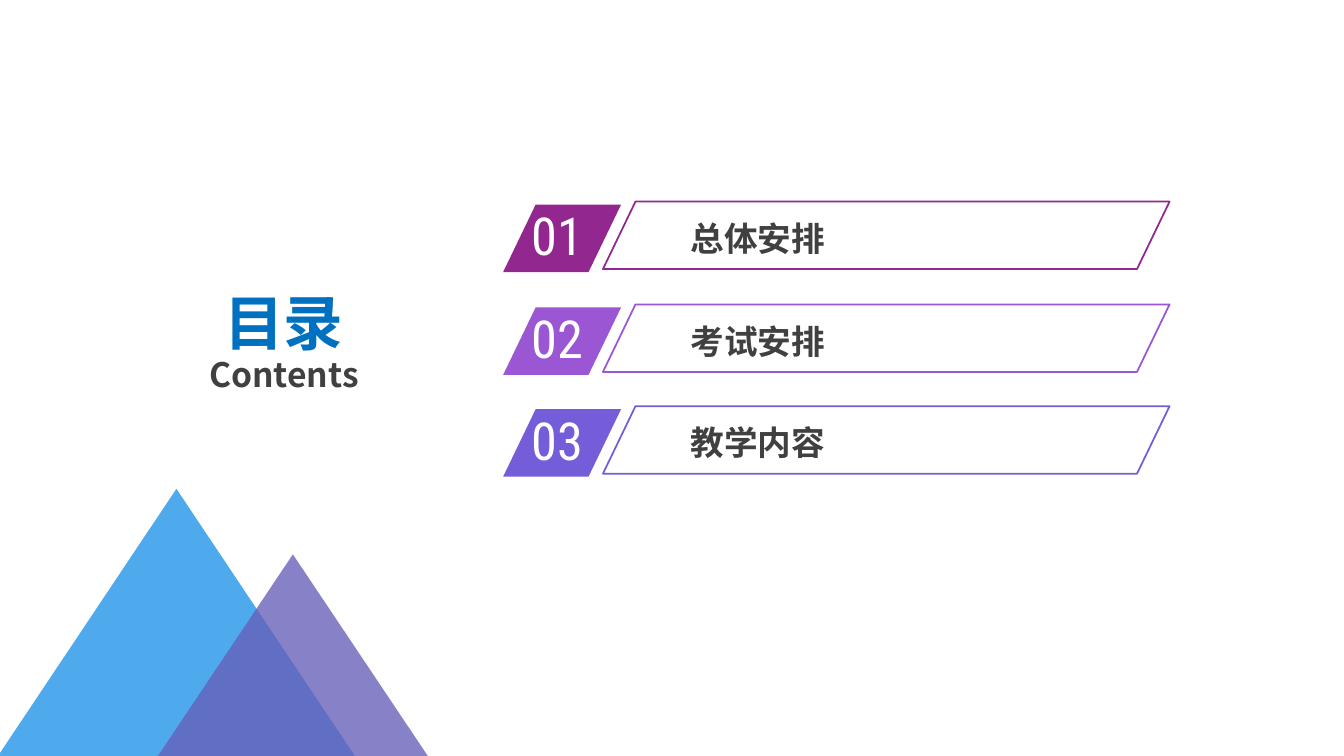
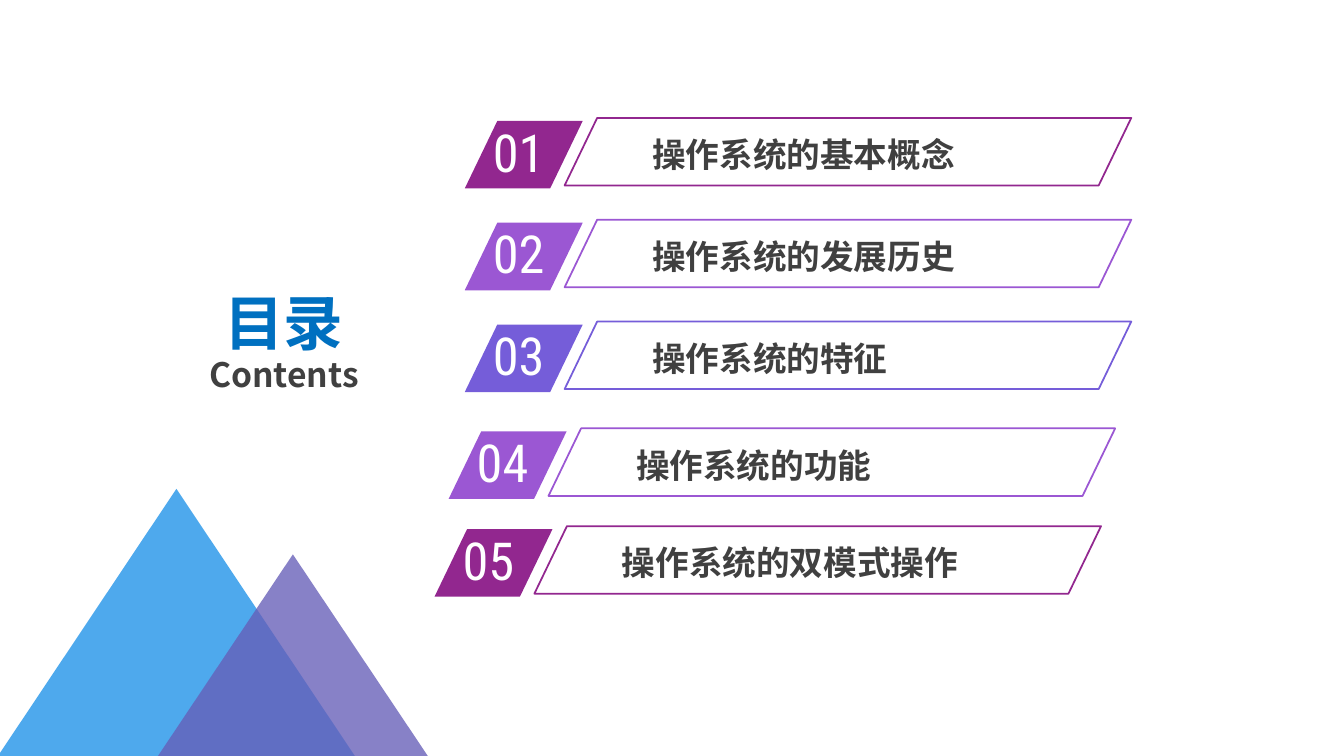
from lxml import etree
from pptx import Presentation
from pptx.dml.color import RGBColor
from pptx.enum.shapes import MSO_SHAPE
from pptx.enum.text import MSO_ANCHOR, PP_ALIGN
from pptx.oxml.ns import qn
from pptx.util import Inches, Pt

PARALLELOGRAM = MSO_SHAPE.PARALLELOGRAM
TRIANGLE = MSO_SHAPE.ISOSCELES_TRIANGLE
MIDDLE = MSO_ANCHOR.MIDDLE
TOP = MSO_ANCHOR.TOP
CENTER = PP_ALIGN.CENTER
LEFT = PP_ALIGN.LEFT

COLORS = {
    "title": "0070C0",
    "body": "404040",
    "white": "FFFFFF",
    "plum": "92278F",
    "orchid": "9B57D3",
    "violet": "755DD9",
    "sky": "45A5ED",
    "indigo": "665EB8",
}
CJK_FONT = "Noto Sans CJK SC"
NUMBER_FONT = "Roboto Condensed"
SLANT = 0.482

MOUNTAINS = [
    ("sky", 95, -0.14, 4.85, 3.78, 2.83),
    ("indigo", 78, 1.48, 5.5, 2.85, 2.13),
]
AGENDAS = [
    [
        ("总体安排", "plum", 4.99, 2.03),
        ("考试安排", "orchid", 4.99, 3.05),
        ("教学内容", "violet", 4.99, 4.06),
    ],
    [
        ("操作系统的基本概念", "plum", 4.61, 1.2),
        ("操作系统的发展历史", "orchid", 4.61, 2.21),
        ("操作系统的特征", "violet", 4.61, 3.22),
        ("操作系统的功能", "orchid", 4.45, 4.28),
        ("操作系统的双模式操作", "plum", 4.31, 5.25),
    ],
]


def add_text(slide, box, lines, font=CJK_FONT, bold=True, align=LEFT, anchor=TOP,
             spacing=1.0, gap=0):
    frame = slide.shapes.add_textbox(*map(Inches, box)).text_frame
    frame.word_wrap = True
    frame.vertical_anchor = anchor
    for index, (text, size, color) in enumerate(lines):
        paragraph = frame.add_paragraph() if index else frame.paragraphs[0]
        paragraph.alignment = align
        paragraph.line_spacing = spacing
        if index:
            paragraph.space_before = Pt(gap)
        run = paragraph.add_run()
        run.text = text
        run.font.size = Pt(size)
        run.font.bold = bold
        run.font.name = font
        run.font.color.rgb = RGBColor.from_string(COLORS[color])
        east_asian = etree.SubElement(run.font._element, qn("a:ea"))
        east_asian.set("typeface", font)


def add_figure(slide, kind, box, fill=None, line=None, opacity=100):
    figure = slide.shapes.add_shape(kind, *map(Inches, box))
    figure.shadow.inherit = False
    if kind == PARALLELOGRAM:
        figure.adjustments[0] = SLANT
    if fill:
        figure.fill.solid()
        figure.fill.fore_color.rgb = RGBColor.from_string(COLORS[fill])
        if opacity < 100:
            color = figure._element.spPr.find(qn("a:solidFill"))[0]
            etree.SubElement(color, qn("a:alpha")).set("val", str(opacity * 1000))
    else:
        figure.fill.background()
    if line:
        figure.line.color.rgb = RGBColor.from_string(COLORS[line])
        figure.line.width = Pt(1.25)
    else:
        figure.line.fill.background()


prs = Presentation()
prs.slide_width = Inches(13.33)
prs.slide_height = Inches(7.5)
blank = prs.slide_layouts[6]

for agenda in AGENDAS:
    slide = prs.slides.add_slide(blank)
    add_text(slide, (1.17, 3.08, 3.29, 0.72),
             [("目录", 42.6, "title"), ("Contents", 24, "body")],
             align=CENTER, anchor=MIDDLE, spacing=0.8, gap=3.8)

    for number, (topic, color, left, top) in enumerate(agenda, 1):
        add_figure(slide, PARALLELOGRAM, (left, top, 1.17, 0.67), fill=color)
        add_text(slide, (left + 0.18, top - 0.06, 1.12, 0.73),
                 [(f"{number:02}", 37.4, "white")], font=NUMBER_FONT, bold=False)
        add_text(slide, (left + 1.76, top + 0.08, 4.12, 0.5), [(topic, 24, "body")])
        add_figure(slide, PARALLELOGRAM, (left + 0.99, top - 0.03, 5.62, 0.67), line=color)

    for color, opacity, *box in MOUNTAINS:
        add_figure(slide, TRIANGLE, box, fill=color, opacity=opacity)

prs.save("out.pptx")
